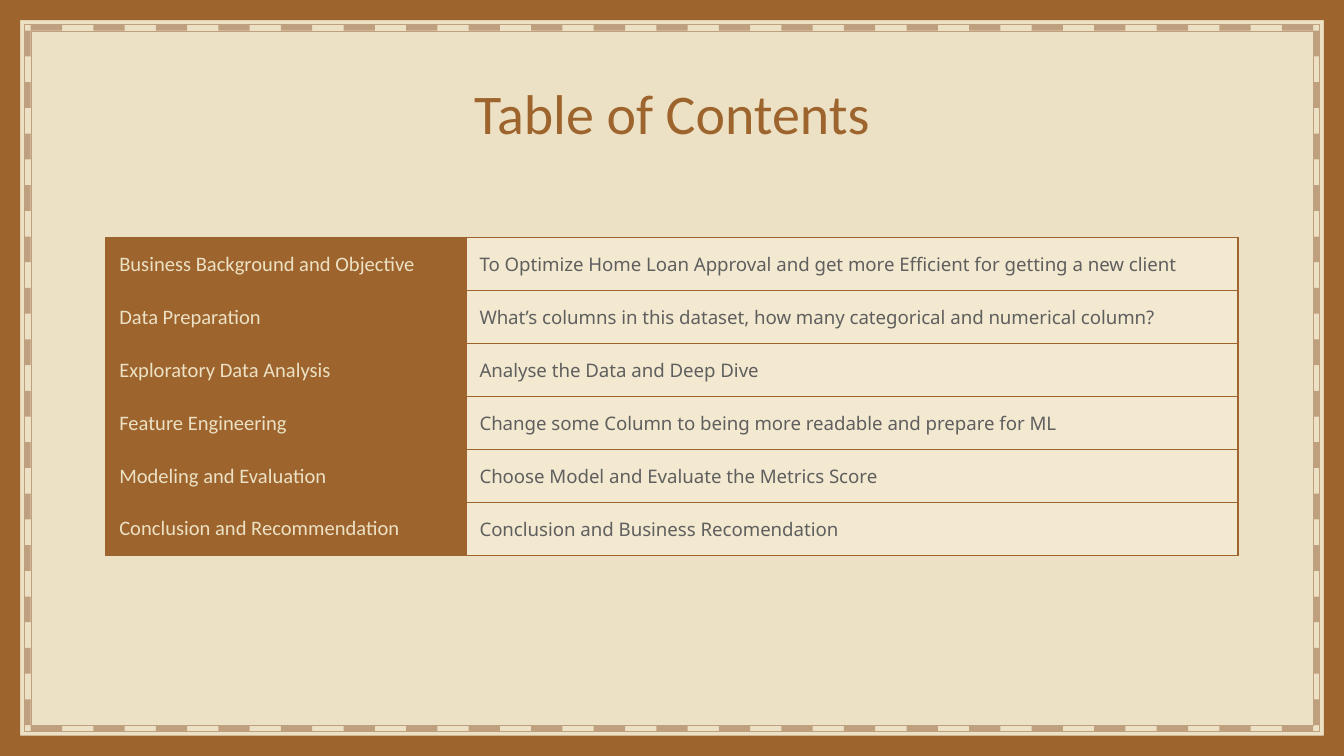
from lxml.etree import SubElement
from pptx import Presentation
from pptx.dml.color import RGBColor
from pptx.enum.shapes import MSO_SHAPE as Shape
from pptx.enum.text import MSO_ANCHOR as Anchor, MSO_AUTO_SIZE as AutoSize, PP_ALIGN as Align
from pptx.oxml.ns import qn
from pptx.util import Pt

WIDTH, HEIGHT = 720, 405
BROWN, TAN, CREAM, PALE, GREY = "9D652D", "BFA07E", "ECE1C5", "F3E9D0", "5F5F5F"
CHAPTERS = [
    ("Business Background and Objective",
     "To Optimize Home Loan Approval and get more Efficient for getting a new client"),
    ("Data Preparation",
     "What’s columns in this dataset, how many categorical and numerical column?"),
    ("Exploratory Data Analysis", "Analyse the Data and Deep Dive"),
    ("Feature Engineering", "Change some Column to being more readable and prepare for ML"),
    ("Modeling and Evaluation", "Choose Model and Evaluate the Metrics Score"),
    ("Conclusion and Recommendation", "Conclusion and Business Recomendation"),
]


def rgb(value):
    """Turn a hex string into a colour."""
    return RGBColor.from_string(value)


def style_font(font, name, size, colour):
    """Set the typeface, size and colour of a font."""
    font.name, font.size, font.bold = name, Pt(size), False
    font.color.rgb = rgb(colour)


def inset(box, margin):
    """Shrink a (left, top, width, height) box on every side."""
    left, top, width, height = box
    return left + margin, top + margin, width - 2 * margin, height - 2 * margin


def add_blocks(slide, boxes, colour):
    """Draw several boxes as one filled freeform with even-odd holes."""
    builder = None
    for left, top, width, height in boxes:
        right, bottom = left + width, top + height
        start = Pt(left), Pt(top)
        if builder is None:
            builder = slide.shapes.build_freeform(*start, scale=1.0)
        else:
            builder.move_to(*start)
        corners = [(right, top), (right, bottom), (left, bottom)]
        builder.add_line_segments([(Pt(x), Pt(y)) for x, y in corners], close=True)
    blocks = builder.convert_to_shape()
    blocks.shadow.inherit = False
    blocks.fill.solid()
    blocks.fill.fore_color.rgb = rgb(colour)
    blocks.line.fill.background()


def add_outline(slide, box, colour):
    """Draw an unfilled hairline rectangle."""
    outline = slide.shapes.add_shape(Shape.RECTANGLE, *map(Pt, box))
    outline.shadow.inherit = False
    outline.fill.background()
    outline.line.color.rgb = rgb(colour)
    outline.line.width = Pt(0.08)


def add_frame(slide, box):
    """Draw the solid border and the dashed band inside it."""
    add_blocks(slide, [inset(box, 10.8), box], BROWN)
    band, thickness = inset(box, 13.1), 3.4
    core = inset(band, thickness)
    left, top, width, height = core
    dash_width, dash_height = width / 41, height / 27
    across = [(left + i * dash_width, y, dash_width, thickness)
              for y in (band[1], top + height) for i in range(0, 41, 2)]
    down = [(x, top + i * dash_height, thickness, dash_height)
            for x in (band[0], left + width) for i in range(0, 27, 2)]
    add_blocks(slide, across + down, TAN)
    for edge in (band, core):
        add_outline(slide, edge, TAN)


def add_title(slide, box, wording):
    """Place and format the slide title."""
    title = slide.shapes.title
    title.left, title.top, title.width, title.height = map(Pt, box)
    frame = title.text_frame
    frame.text = wording
    frame.word_wrap, frame.auto_size = True, AutoSize.NONE
    frame.vertical_anchor = Anchor.TOP
    frame.margin_left = frame.margin_right = frame.margin_top = frame.margin_bottom = Pt(7.2)
    heading = frame.paragraphs[0]
    heading.alignment = Align.CENTER
    style_font(heading.font, "Calibri", 30, BROWN)


def add_borders(cell, colour):
    """Give a table cell a thin line on all four sides."""
    properties = cell._tc.get_or_add_tcPr()
    for side in ("a:lnL", "a:lnR", "a:lnT", "a:lnB"):
        border = SubElement(properties, qn(side), w=str(Pt(0.75)))
        SubElement(SubElement(border, qn("a:solidFill")), qn("a:srgbClr"), val=colour)


def add_contents(slide, box, chapters):
    """Build the table of chapters and their descriptions."""
    table = slide.shapes.add_table(len(chapters), 2, *map(Pt, box)).table
    table.first_row = table.horz_banding = False
    chapter_width = 193
    table.columns[0].width = Pt(chapter_width)
    table.columns[1].width = Pt(box[2] - chapter_width)
    looks = [("Calibri", 11, CREAM, BROWN), ("Noto Sans", 10, GREY, PALE)]
    for row, chapter in enumerate(chapters):
        for column, (wording, look) in enumerate(zip(chapter, looks)):
            typeface, size, ink, background = look
            cell = table.cell(row, column)
            cell.text = wording
            cell.vertical_anchor = Anchor.MIDDLE
            cell.margin_left = cell.margin_right = Pt(7.2)
            cell.margin_top = cell.margin_bottom = 0
            style_font(cell.text_frame.paragraphs[0].font, typeface, size, ink)
            add_borders(cell, BROWN)
            cell.fill.solid()
            cell.fill.fore_color.rgb = rgb(background)


def main():
    """Build the contents slide and save it."""
    deck = Presentation()
    deck.slide_width, deck.slide_height = Pt(WIDTH), Pt(HEIGHT)
    slide = deck.slides.add_slide(deck.slide_layouts[5])
    slide.background.fill.solid()
    slide.background.fill.fore_color.rgb = rgb(CREAM)
    margin = 56.7
    content_width = WIDTH - 2 * margin
    add_frame(slide, (0, 0, WIDTH, HEIGHT))
    add_title(slide, (margin, 35.1, content_width, 45), "Table of Contents")
    add_contents(slide, (margin, 127.3, content_width, 170.4), CHAPTERS)
    deck.save("out.pptx")


if __name__ == "__main__":
    main()
